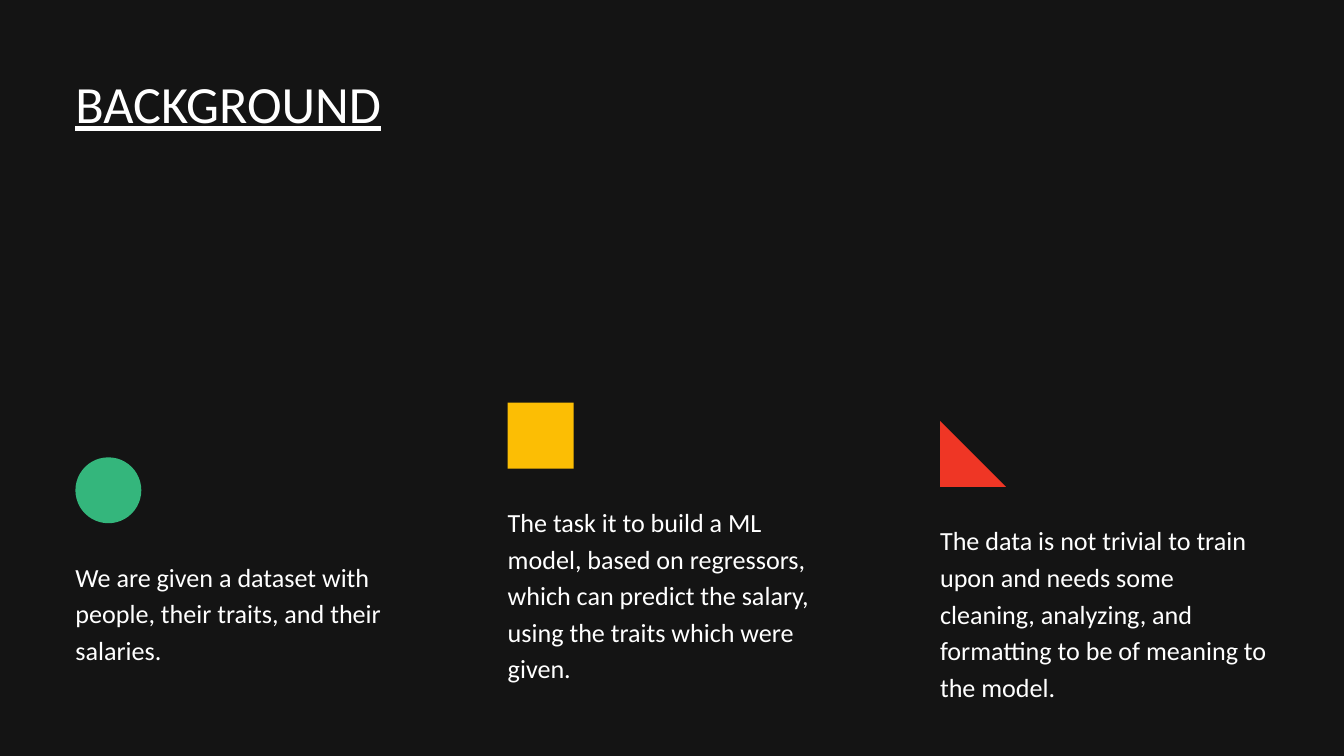
"""Build the background slide: a title and three columns, each with an icon."""
import pptx
import pptx.dml.color
import pptx.enum.shapes
import pptx.enum.text
import pptx.util

Pt = pptx.util.Pt
KIND = pptx.enum.shapes.MSO_SHAPE
COLORS = {"back": "141414", "text": "FFFFFF", "green": "34B67C",
          "yellow": "FCBE04", "red": "EF3625"}
TITLE = "BACKGROUND"
COLUMNS = [
    (KIND.OVAL, "green", 490, 114,
     "We are given a dataset with people, their traits, and their salaries."),
    (KIND.RECTANGLE, "yellow", 431.5, 230,
     "The task it to build a ML model, based on regressors, which can "
     "predict the salary, using the traits which were given."),
    (KIND.RIGHT_TRIANGLE, "red", 451, 192,
     "The data is not trivial to train upon and needs some cleaning, "
     "analyzing, and formatting to be of meaning to the model."),
]
HEAD = {"size": Pt(56), "name": "Calibri", "underline": True}
BODY = {"size": Pt(28), "name": "Calibri"}
FRAME = {"margin_left": 0, "margin_top": 0, "margin_right": 0,
         "margin_bottom": 0, "word_wrap": True,
         "auto_size": pptx.enum.text.MSO_AUTO_SIZE.SHAPE_TO_FIT_TEXT}
LEFT, PITCH, WIDTH, ICON, DROP = 80.8, 463.2, 351.4, 70.6, 105.6


def style(item, values):
    for key, value in values.items():
        setattr(item, key, value)


def paint(fill, color):
    fill.solid()
    fill.fore_color.rgb = pptx.dml.color.RGBColor.from_string(COLORS[color])


def write(slide, text, box, font, line):
    frame = slide.shapes.add_textbox(*map(Pt, box)).text_frame
    style(frame, FRAME)
    para = frame.paragraphs[0]
    para.line_spacing = Pt(line)
    run = para.add_run()
    run.text = text
    style(run.font, font)
    paint(run.font.fill, "text")


def draw(slide, kind, color, left, top):
    icon = slide.shapes.add_shape(kind, *map(Pt, (left, top, ICON, ICON)))
    icon.shadow.inherit = False
    paint(icon.fill, color)
    icon.line.fill.background()


def main():
    deck = pptx.Presentation()
    style(deck, {"slide_width": Pt(1440), "slide_height": Pt(810)})
    slide = deck.slides.add_slide(deck.slide_layouts[6])
    paint(slide.background.fill, "back")
    write(slide, TITLE, (LEFT, 70.6, 639.2, 72), HEAD, 72.8)
    for index, (kind, color, top, height, text) in enumerate(COLUMNS):
        left = LEFT + index * PITCH
        draw(slide, kind, color, left, top)
        write(slide, text, (left, top + DROP, WIDTH, height), BODY, 39.2)
    deck.save("out.pptx")


if __name__ == "__main__":
    main()
